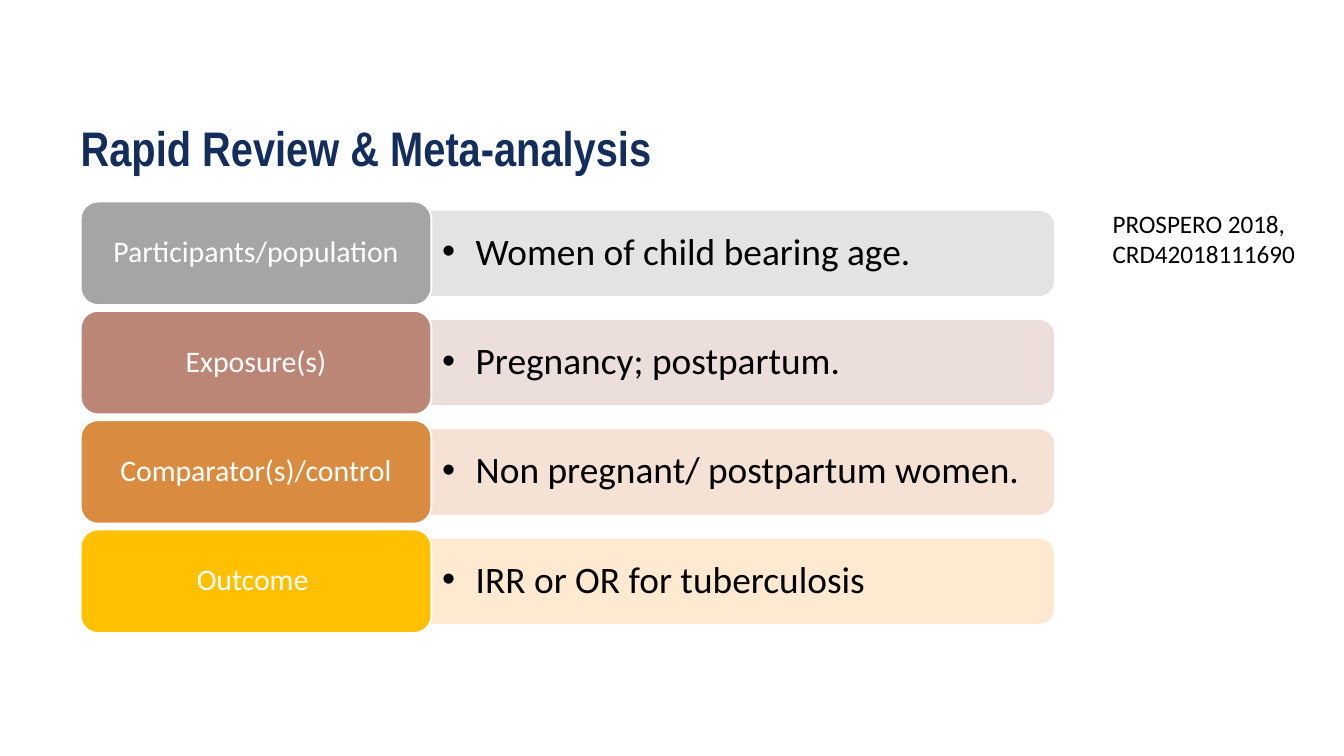
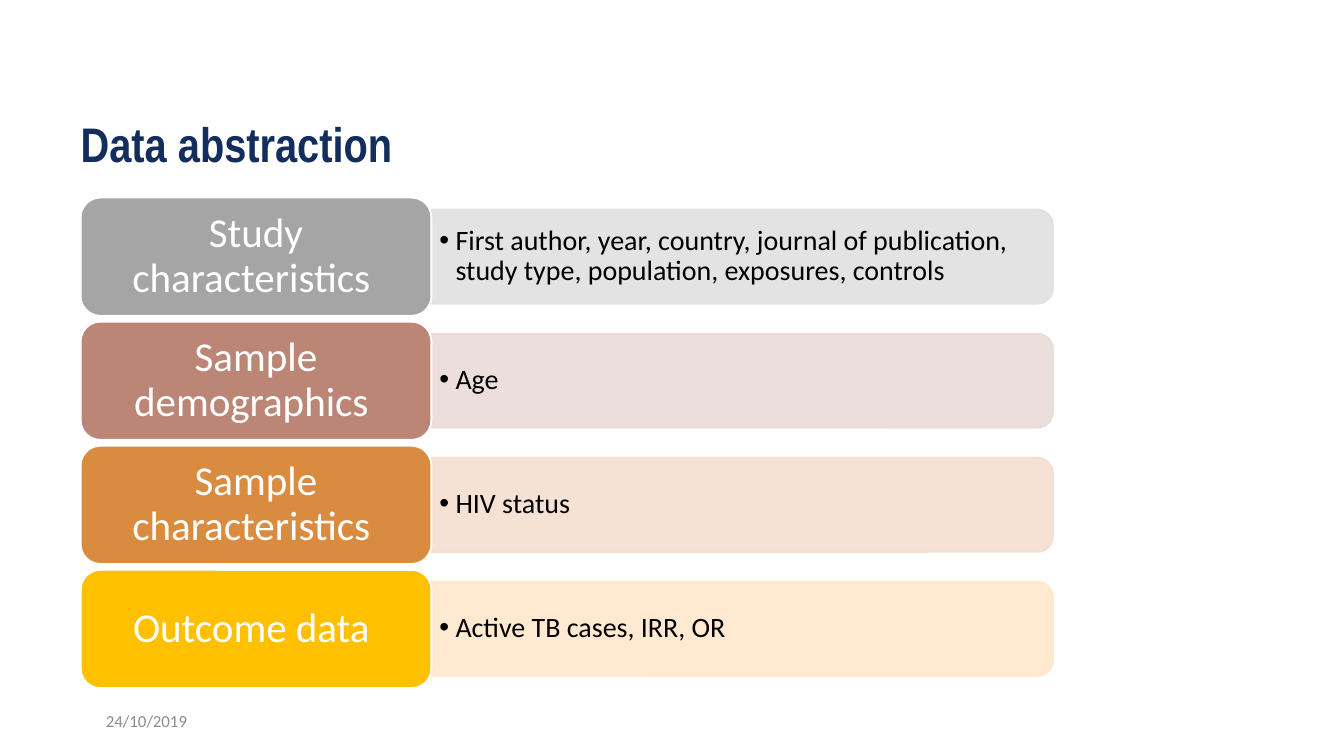
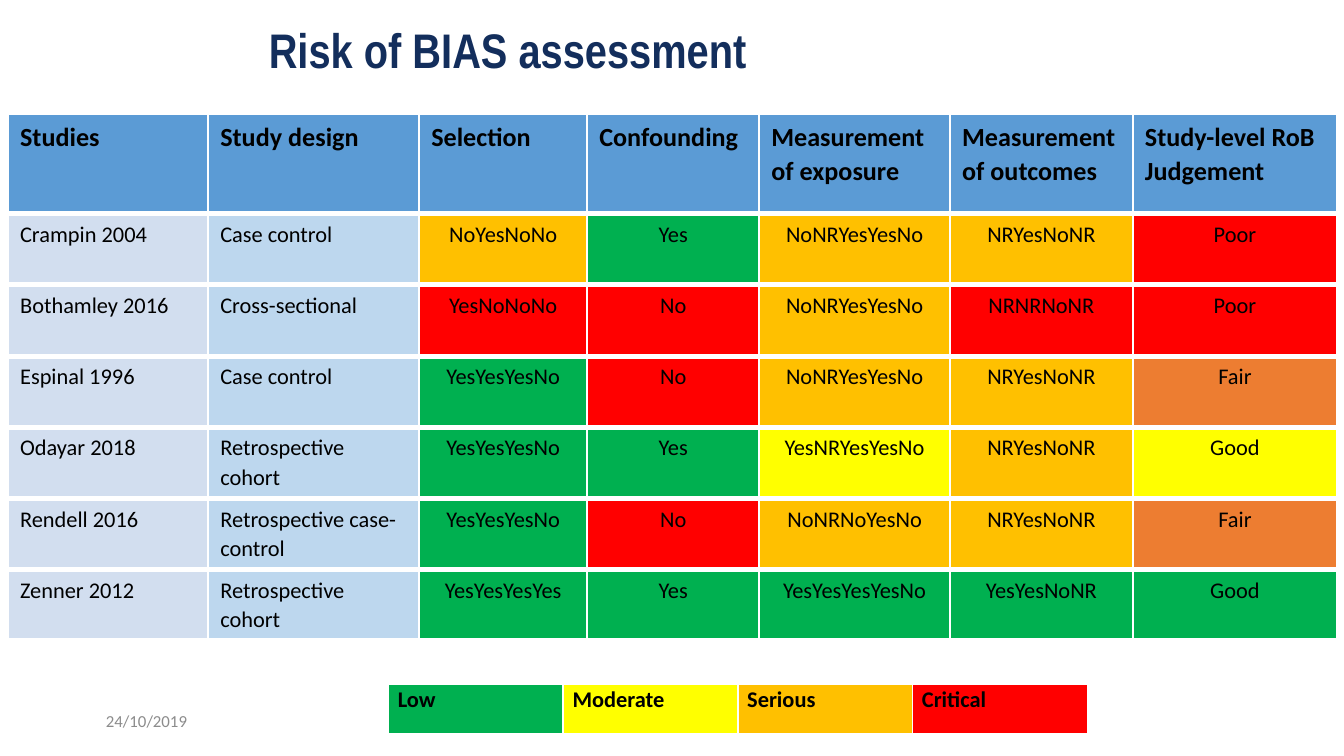
from dataclasses import dataclass

from lxml import etree
from pptx import Presentation
from pptx import util as u
from pptx.dml.color import RGBColor
from pptx.enum import shapes, text
from pptx.oxml.ns import qn

EMU_PER_PX = 9144  # 100 px to the inch
TITLE_FONT, BODY_FONT, BULLET_FONT = "Arial Narrow", "Calibri", "Arial"
COLORS = {
    "title": "132E5C", "black": "000000", "white": "FFFFFF", "date": "8C8C8C",
    "header": "5B9BD5", "study": "D2DEEF", "design": "BDD7EE",
    "low": "00B050", "moderate": "FFFF00", "serious": "FFC000",
    "critical": "FF0000", "fair": "ED7D31",
}
# Label and panel colour of each row, from top to bottom
ROW_COLORS = [("A5A5A5", "E1E1E1"), ("BB8676", "EADBD8"),
              ("D98C3F", "F6DED1"), ("FFC000", "FFE7CB")]
RATINGS = {"L": "low", "M": "moderate", "S": "serious", "C": "critical", "F": "fair"}


@dataclass
class Box:
    left: float
    top: float
    width: float
    height: float

    def emu(self) -> tuple:
        return tuple(px(n) for n in (self.left, self.top, self.width, self.height))


@dataclass
class Style:
    size: float
    color: str = COLORS["black"]
    bold: bool = False
    font: str = BODY_FONT
    align: text.PP_ALIGN = text.PP_ALIGN.LEFT
    spacing: float = 1.0


@dataclass
class RowList:
    """Labels with a bulleted panel to the right of each."""
    top: int
    span: int  # from the first label's top to the last one's
    label_height: int
    panel_height: int
    label_size: int
    label_inset: tuple
    item_size: int
    item_inset: tuple
    indent: int
    rows: list


def px(n: float) -> u.Emu:
    return u.Emu(round(n * EMU_PER_PX))


def rgb(color: str) -> RGBColor:
    return RGBColor.from_string(color)


def write(frame, content: str, style: Style) -> None:
    frame.text = content
    for p in frame.paragraphs:
        p.alignment, p.line_spacing = style.align, style.spacing
        for r in p.runs:
            r.font.name, r.font.size, r.font.bold = style.font, u.Pt(style.size), style.bold
            r.font.color.rgb = rgb(style.color)


def set_insets(obj, across: int, down: int) -> None:
    obj.margin_left = obj.margin_right = px(across)
    obj.margin_top = obj.margin_bottom = px(down)


def add_text(slide, box: Box, content: str, style: Style, insets: tuple = (10, 5),
             anchor=text.MSO_ANCHOR.TOP):
    tf = slide.shapes.add_textbox(*box.emu()).text_frame
    tf.word_wrap, tf.vertical_anchor = True, anchor
    set_insets(tf, *insets)
    write(tf, content, style)
    return tf


def add_bullet(p, indent: int) -> None:
    p.level = 1
    pPr = p._p.get_or_add_pPr()
    pPr.set("marL", str(px(indent)))
    pPr.set("indent", str(-px(indent)))
    etree.SubElement(pPr, qn("a:buFont")).set("typeface", BULLET_FONT)
    etree.SubElement(pPr, qn("a:buChar")).set("char", "•")


def add_shape(slide, kind, box: Box, fill: str, line: str):
    sp = slide.shapes.add_shape(kind, *box.emu())
    sp.shadow.inherit = False
    sp.fill.solid()
    sp.fill.fore_color.rgb = rgb(fill)
    sp.line.color.rgb, sp.line.width = rgb(line), u.Pt(1)
    return sp


def add_slide(prs, title: str, left: int, top: int):
    slide = prs.slides.add_slide(prs.slide_layouts[5])
    sp = slide.shapes.title
    sp.left, sp.top, sp.width, sp.height = Box(left, top, 758, 53).emu()
    tf = sp.text_frame
    tf.word_wrap, tf.auto_size = True, text.MSO_AUTO_SIZE.NONE
    tf.vertical_anchor = text.MSO_ANCHOR.TOP
    set_insets(tf, 0, 0)
    write(tf, title, Style(26, COLORS["title"], True, TITLE_FONT))
    return slide


def add_date(slide) -> None:
    add_text(slide, Box(69, 521, 225, 30), "24/10/2019", Style(9, COLORS["date"]),
             anchor=text.MSO_ANCHOR.MIDDLE)


def add_panel(slide, middle: float, height: int, color: str) -> None:
    # Turned a quarter, so that the rounded corners face right
    length, center = 463, 552
    box = Box(center - height / 2, middle - length / 2, height, length)
    sp = add_shape(slide, shapes.MSO_SHAPE.ROUND_2_SAME_RECTANGLE, box, color, color)
    sp.rotation = 90
    for clr in list(sp.fill._xPr.iter(qn("a:srgbClr"))):
        etree.SubElement(clr, qn("a:alpha")).set("val", "90000")


def add_row_list(slide, rl: RowList) -> None:
    for i, ((label, item), (label_color, panel_color)) in enumerate(zip(rl.rows, ROW_COLORS)):
        top = rl.top + i * rl.span / (len(rl.rows) - 1)
        middle = top + rl.label_height / 2
        add_panel(slide, middle, rl.panel_height, panel_color)

        # Bulleted text on the panel
        height = rl.panel_height - 6
        tf = add_text(slide, Box(321, middle - height / 2, 460, height), item,
                      Style(rl.item_size, spacing=0.9), rl.item_inset, text.MSO_ANCHOR.MIDDLE)
        add_bullet(tf.paragraphs[0], rl.indent)

        # Label
        sp = add_shape(slide, shapes.MSO_SHAPE.ROUNDED_RECTANGLE,
                       Box(60, top, 261, rl.label_height), label_color, COLORS["white"])
        tf = sp.text_frame
        tf.word_wrap, tf.vertical_anchor = True, text.MSO_ANCHOR.MIDDLE
        set_insets(tf, *rl.label_inset)
        write(tf, label, Style(rl.label_size, COLORS["white"],
                               align=text.PP_ALIGN.CENTER, spacing=0.9))


def add_table(slide, left: int, top: int, widths: list, heights: list):
    box = Box(left, top, sum(widths), sum(heights))
    table = slide.shapes.add_table(len(heights), len(widths), *box.emu()).table
    table.first_row = table.horz_banding = False
    for col, width in zip(table.columns, widths):
        col.width = px(width)
    for row, height in zip(table.rows, heights):
        row.height = px(height)
    return table


def fill_cell(cell, content: str, color: str, style: Style, insets: tuple, top_line: int) -> None:
    set_insets(cell, *insets)
    write(cell.text_frame, content, style)
    tcPr = cell._tc.get_or_add_tcPr()
    for side, width in (("L", 1), ("R", 1), ("T", top_line), ("B", 3)):
        ln = etree.SubElement(tcPr, qn(f"a:ln{side}"), w=str(u.Pt(width)))
        fill = etree.SubElement(ln, qn("a:solidFill"))
        etree.SubElement(fill, qn("a:srgbClr")).set("val", COLORS["white"])
    cell.fill.solid()
    cell.fill.fore_color.rgb = rgb(COLORS[color])


REVIEW = RowList(150, 244, 77, 62, 16, (7, 3), 20, (8, 4), 25, [
    ("Participants/population", "Women of child bearing age."),
    ("Exposure(s)", "Pregnancy; postpartum."),
    ("Comparator(s)/control", "Non pregnant/ postpartum women."),
    ("Outcome ", "IRR or OR for tuberculosis"),
])
ABSTRACTION = RowList(147, 277, 88, 70, 22, (9, 5), 15, (6, 3), 12, [
    ("Study characteristics ", "First author, year, country, journal of publication, "
                               "study type, population, exposures, controls"),
    ("Sample demographics ", "Age"),
    ("Sample characteristics ", "HIV status"),
    ("Outcome data ", "Active TB cases, IRR, OR"),
])
BIAS_HEADER = ["Studies", "Study design", "Selection", "Confounding",
               "Measurement of exposure", "Measurement of outcomes", "Study-level RoB Judgement"]
# Each study with the ratings of its last five cells
BIAS_ROWS = [
    (["Crampin 2004", "Case control", "NoYesNoNo", "Yes", "NoNRYesYesNo", "NRYesNoNR", "Poor"],
     "SLSSC"),
    (["Bothamley 2016", "Cross-sectional", "YesNoNoNo", "No", "NoNRYesYesNo", "NRNRNoNR", "Poor"],
     "CCSCC"),
    (["Espinal 1996", "Case control", "YesYesYesNo", "No", "NoNRYesYesNo", "NRYesNoNR", "Fair"],
     "LCSSF"),
    (["Odayar 2018", "Retrospective cohort", "YesYesYesNo", "Yes", "YesNRYesYesNo", "NRYesNoNR",
      "Good"], "LLMSM"),
    (["Rendell 2016", "Retrospective case-control", "YesYesYesNo", "No", "NoNRNoYesNo",
      "NRYesNoNR", "Fair"], "LCSSF"),
    (["Zenner 2012", "Retrospective cohort", "YesYesYesYes", "Yes", "YesYesYesYesNo",
      "YesYesNoNR", "Good"], "LLLLL"),
]


def add_bias_table(slide) -> None:
    insets = (9, 4)
    table = add_table(slide, 6, 85, [149, 157, 125, 128, 142, 136, 152],
                      [74] + [53] * len(BIAS_ROWS))
    for c, heading in enumerate(BIAS_HEADER):
        fill_cell(table.cell(0, c), heading, "header", Style(14, bold=True, spacing=1.07), insets, 1)
    for r, (values, ratings) in enumerate(BIAS_ROWS, 1):
        fills = ["study", "design"] + [RATINGS[x] for x in ratings]
        for c, (value, fill) in enumerate(zip(values, fills)):
            align = text.PP_ALIGN.LEFT if c < 2 else text.PP_ALIGN.CENTER
            fill_cell(table.cell(r, c), value, fill, Style(12, align=align, spacing=1.07), insets, 3)


def add_legend(slide) -> None:
    levels = ["Low", "Moderate", "Serious", "Critical"]
    table = add_table(slide, 289, 509, [130] * len(levels), [38])
    for c, level in enumerate(levels):
        fill_cell(table.cell(0, c), level, level.lower(),
                  Style(12, bold=True, spacing=1.07), (7, 0), 1)


def main() -> None:
    prs = Presentation()
    prs.slide_width = px(1000)
    prs.slide_height = u.Emu(prs.slide_width * 9 // 16)

    # Review question
    slide = add_slide(prs, "Rapid Review & Meta-analysis", 60, 88)
    add_row_list(slide, REVIEW)
    add_text(slide, Box(818, 150, 165, 56), "PROSPERO 2018,\nCRD42018111690", Style(13.5))

    # Data abstraction
    slide = add_slide(prs, "Data abstraction", 60, 85)
    add_row_list(slide, ABSTRACTION)
    add_date(slide)

    # Risk of bias
    slide = add_slide(prs, "Risk of BIAS assessment", 200, 15)
    add_bias_table(slide)
    add_legend(slide)
    add_date(slide)

    prs.save("out.pptx")


if __name__ == "__main__":
    main()
